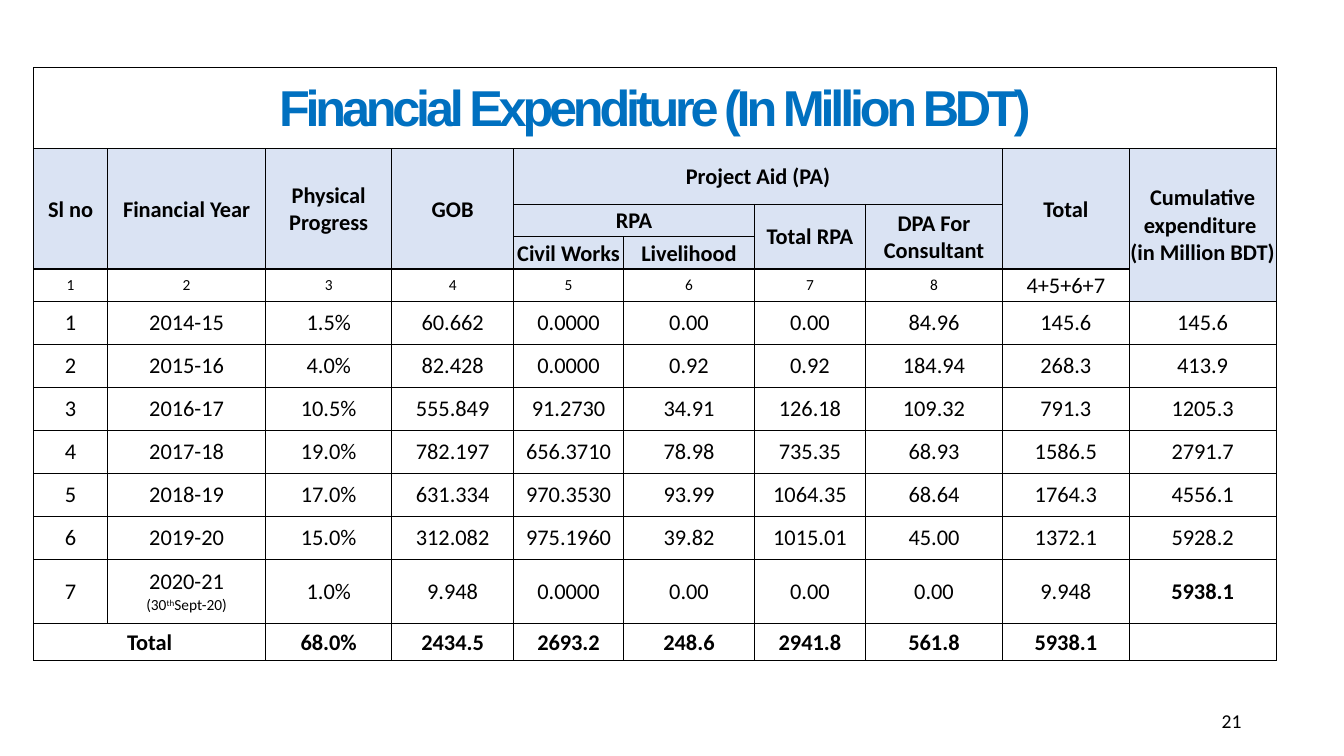
"""Build the financial expenditure table slide."""
from dataclasses import dataclass

from lxml import etree
from pptx import Presentation
from pptx.dml.color import RGBColor
from pptx.enum import text
from pptx.oxml import ns
from pptx.slide import Slide
from pptx.table import Table, _Cell
from pptx.util import Pt

BLACK = RGBColor(0x00, 0x00, 0x00)
WHITE = RGBColor(0xFF, 0xFF, 0xFF)
TITLE_BLUE = RGBColor(0x00, 0x70, 0xC0)
HEADER_BLUE = RGBColor(0xDA, 0xE3, 0xF3)

COLUMN_WIDTHS = (52.8, 113, 90, 87.1, 78.5, 93.6, 79.2, 98, 90.4, 105)
ROW_HEIGHTS = (58, 39.7, 23.1, 23.1, 23.1, *[30.7] * 6, 46, 26.4)
NUMBER_ROW, FIRST_YEAR_ROW = 4, 5
BORDER_TAGS = ("a:lnL", "a:lnR", "a:lnT", "a:lnB")


@dataclass(frozen=True)
class CellStyle:
    """Look of the text and ground of a cell."""
    size: float = 16
    bold: bool = False
    fill: RGBColor = WHITE
    color: RGBColor = BLACK
    font: str = "Calibri"


@dataclass(frozen=True)
class HeaderCell:
    """Heading with its place and span in the grid."""
    label: str
    row: int
    column: int
    rows: int = 1
    columns: int = 1


TITLE = CellStyle(size=36, bold=True, color=TITLE_BLUE, font="Arial")
HEADER = CellStyle(bold=True, fill=HEADER_BLUE)
SMALL = CellStyle(size=11)
BODY = CellStyle()
BOLD = CellStyle(bold=True)

HEADERS = (
    HeaderCell("Sl no", 1, 0, rows=3),
    HeaderCell("Financial Year", 1, 1, rows=3),
    HeaderCell("Physical Progress", 1, 2, rows=3),
    HeaderCell("GOB", 1, 3, rows=3),
    HeaderCell("Project Aid (PA)", 1, 4, columns=4),
    HeaderCell("Total", 1, 8, rows=3),
    HeaderCell("Cumulative expenditure \v(in Million BDT) ", 1, 9, rows=4),
    HeaderCell("RPA", 2, 4, columns=2),
    HeaderCell("Total RPA", 2, 6, rows=2),
    HeaderCell("DPA For Consultant", 2, 7, rows=2),
    HeaderCell("Civil Works", 3, 4),
    HeaderCell("Livelihood", 3, 5),
)
YEARS = (
    ("2014-15", "1.5%", "60.662", "0.0000", "0.00", "0.00", "84.96", "145.6", "145.6"),
    ("2015-16", "4.0%", "82.428", "0.0000", "0.92", "0.92", "184.94", "268.3", "413.9"),
    ("2016-17", "10.5%", "555.849", "91.2730", "34.91", "126.18", "109.32", "791.3", "1205.3"),
    ("2017-18", "19.0%", "782.197", "656.3710", "78.98", "735.35", "68.93", "1586.5", "2791.7"),
    ("2018-19", "17.0%", "631.334", "970.3530", "93.99", "1064.35", "68.64", "1764.3", "4556.1"),
    ("2019-20", "15.0%", "312.082", "975.1960", "39.82", "1015.01", "45.00", "1372.1", "5928.2"),
    ("2020-21\v", "1.0%", "9.948", "0.0000", "0.00", "0.00", "0.00", "9.948", "5938.1"),
)
TOTALS = ("68.0%", "2434.5", "2693.2", "248.6", "2941.8", "561.8", "5938.1", "")


def add_borders(cell: _Cell) -> None:
    """Draw a black line on each side of a cell."""
    properties = cell._tc.get_or_add_tcPr()
    for index, tag in enumerate(BORDER_TAGS):
        line = etree.Element(ns.qn(tag), w=str(Pt(1)))
        fill = etree.SubElement(line, ns.qn("a:solidFill"))
        etree.SubElement(fill, ns.qn("a:srgbClr"), val=str(BLACK))
        properties.insert(index, line)


def write_cell(cell: _Cell, label: str, style: CellStyle) -> None:
    """Put styled, centred text into a cell."""
    cell.fill.solid()
    cell.fill.fore_color.rgb = style.fill
    cell.vertical_anchor = text.MSO_ANCHOR.MIDDLE
    paragraph = cell.text_frame.paragraphs[0]
    paragraph.text = label
    paragraph.alignment = text.PP_ALIGN.CENTER
    font = paragraph.font
    font.name, font.size, font.bold = style.font, Pt(style.size), style.bold
    font.color.rgb = style.color


def write_row(table: Table, row: int, column: int, labels: tuple[str, ...], style: CellStyle) -> None:
    """Fill neighbouring cells of one row."""
    for offset, label in enumerate(labels):
        write_cell(table.cell(row, column + offset), label, style)


def add_year_note(cell: _Cell) -> None:
    """Append the cut-off date below the last year."""
    paragraph = cell.text_frame.paragraphs[0]
    for label, baseline in (("(30", 0), ("th", 30000), ("Sept-20)", 0)):
        run = paragraph.add_run()
        run.text = label
        run.font.size = Pt(SMALL.size)
        run._r.get_or_add_rPr().set("baseline", str(baseline))


def add_expenditure_table(slide: Slide) -> None:
    """Add the whole expenditure table."""
    frame = slide.shapes.add_table(
        len(ROW_HEIGHTS), len(COLUMN_WIDTHS), Pt(24), Pt(48.3),
        Pt(sum(COLUMN_WIDTHS)), Pt(sum(ROW_HEIGHTS)))
    table = frame.table
    table.first_row = table.horz_banding = False
    for column, width in zip(table.columns, COLUMN_WIDTHS):
        column.width = Pt(width)
    for row, height in zip(table.rows, ROW_HEIGHTS):
        row.height = Pt(height)
    for cell in table.iter_cells():
        cell.margin_left = cell.margin_right = cell.margin_top = Pt(0.72)
        cell.margin_bottom = Pt(0)
        add_borders(cell)

    title = table.cell(0, 0)
    title.merge(table.cell(0, len(COLUMN_WIDTHS) - 1))
    write_cell(title, "Financial Expenditure (In Million BDT)", TITLE)
    title.text_frame.paragraphs[0].runs[0]._r.get_or_add_rPr().set("spc", "-300")

    for header in HEADERS:
        cell = table.cell(header.row, header.column)
        if header.rows * header.columns > 1:
            cell.merge(table.cell(header.row + header.rows - 1, header.column + header.columns - 1))
        write_cell(cell, header.label, HEADER)

    write_row(table, NUMBER_ROW, 0, tuple(str(number) for number in range(1, 9)), SMALL)
    write_cell(table.cell(NUMBER_ROW, 8), "4+5+6+7", BODY)
    for number, year in enumerate(YEARS, 1):
        write_row(table, FIRST_YEAR_ROW + number - 1, 0, (str(number), *year), BODY)

    total_row = FIRST_YEAR_ROW + len(YEARS)
    add_year_note(table.cell(total_row - 1, 1))
    write_cell(table.cell(total_row - 1, 9), YEARS[-1][-1], BOLD)
    table.cell(total_row, 0).merge(table.cell(total_row, 1))
    write_cell(table.cell(total_row, 0), "Total", BOLD)
    write_row(table, total_row, 2, TOTALS, BOLD)


def add_page_number(slide: Slide) -> None:
    """Add the page number at the lower right."""
    frame = slide.shapes.add_textbox(Pt(678), Pt(500.5), Pt(216), Pt(28.8)).text_frame
    frame.word_wrap = True
    frame.vertical_anchor = text.MSO_ANCHOR.MIDDLE
    paragraph = frame.paragraphs[0]
    paragraph.text = "21"
    paragraph.alignment = text.PP_ALIGN.RIGHT
    paragraph.font.name, paragraph.font.size = "Calibri", Pt(14)
    paragraph.font.color.rgb = BLACK


def main() -> None:
    """Create and save the presentation."""
    presentation = Presentation()
    presentation.slide_width, presentation.slide_height = Pt(960), Pt(540)
    slide = presentation.slides.add_slide(presentation.slide_layouts[6])
    add_expenditure_table(slide)
    add_page_number(slide)
    presentation.save("out.pptx")


if __name__ == "__main__":
    main()
